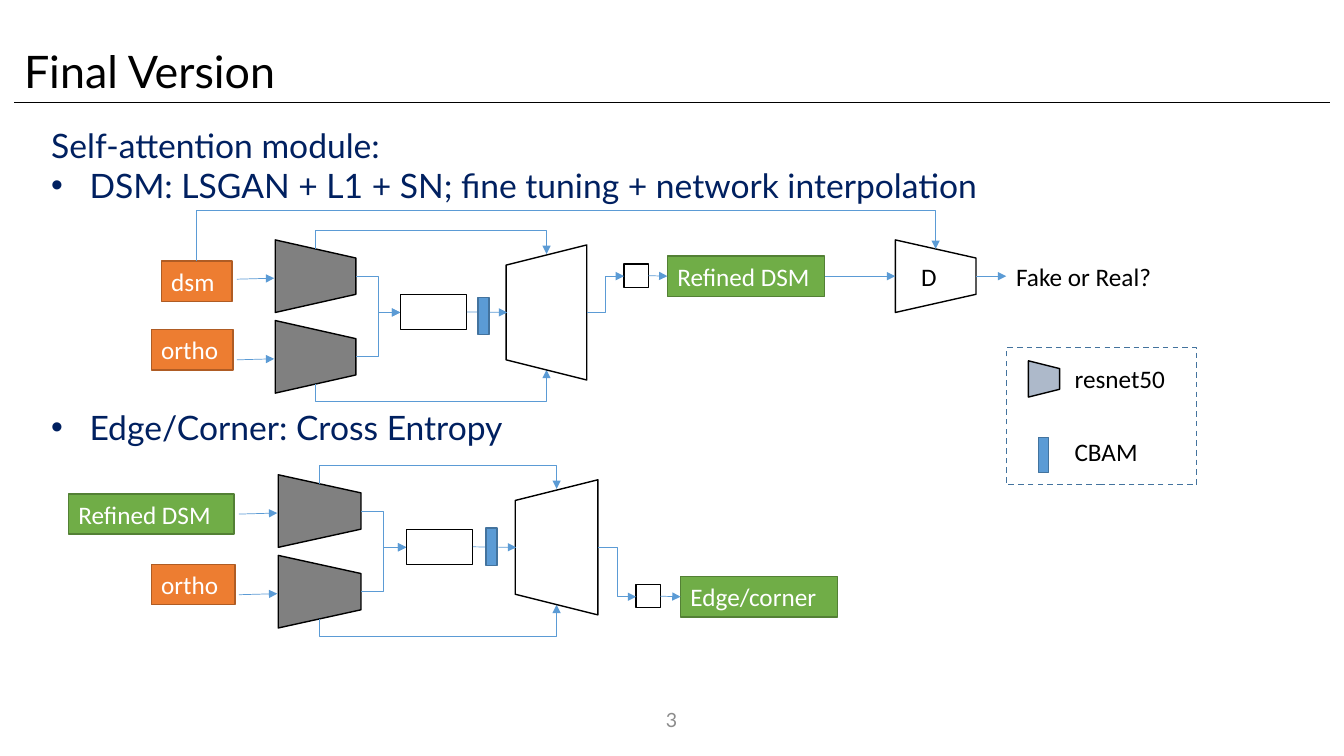
from dataclasses import dataclass
from lxml.etree import SubElement
from pptx import Presentation
from pptx.dml.color import RGBColor
from pptx.enum.dml import MSO_LINE
from pptx.enum.shapes import MSO_CONNECTOR, MSO_SHAPE
from pptx.enum.text import MSO_ANCHOR, PP_ALIGN
from pptx.oxml.ns import qn
from pptx.util import Emu, Pt


@dataclass(frozen=True)
class Theme:
    heading: str = "Lato"
    label: str = "Calibri"
    title_size: int = 32
    body_size: int = 24
    label_size: int = 18
    number_size: int = 14
    black: str = "000000"
    white: str = "FFFFFF"
    navy: str = "002060"
    gray: str = "8C8C8C"
    encoder: str = "808080"
    legend: str = "ADB9CA"
    blue: str = "5B9BD5"
    blue_edge: str = "43739E"
    orange: str = "ED7D31"
    orange_edge: str = "AF5C24"
    green: str = "70AD47"
    green_edge: str = "538035"


T = Theme()
EMU_PER_PX = 9144  # 100 px to the inch
RIGHT, LEFT = 3, 1  # connection sites of a rectangle


def px(n):
    return Emu(round(n * EMU_PER_PX))


def rgb(color):
    return RGBColor.from_string(color)


# Text
def write(tf, text, size=T.label_size, font=T.label, color=T.black,
          align=None, bullet=False, before=0, first=True):
    p = tf.paragraphs[0] if first else tf.add_paragraph()
    if bullet:
        pPr = p._p.get_or_add_pPr()
        pPr.set("marL", str(px(38)))
        pPr.set("indent", str(-px(38)))
        SubElement(pPr, qn("a:buFont"), typeface="Arial")
        SubElement(pPr, qn("a:buChar"), char="•")
    if before:
        p.space_before = Pt(before)
    p.alignment = align
    r = p.add_run()
    r.text = text
    r.font.size, r.font.name = Pt(size), font
    r.font.color.rgb = rgb(color)


def text_box(s, x, y, w, h, wrap=True):
    box = s.shapes.add_textbox(px(x), px(y), px(w), px(h))
    box.text_frame.word_wrap = wrap
    return box


# Shapes
def shape(s, kind, x, y, w, h, fill, edge):
    sp = s.shapes.add_shape(kind, px(x), px(y), px(w), px(h))
    sp.shadow.inherit = False
    if fill:
        sp.fill.solid()
        sp.fill.fore_color.rgb = rgb(fill)
    else:
        sp.fill.background()
    sp.line.color.rgb = rgb(edge)
    sp.line.width = Pt(1)
    return sp


def rect(s, x, y, w, h, fill=T.white, edge=T.black, text=None):
    sp = shape(s, MSO_SHAPE.RECTANGLE, x, y, w, h, fill, edge)
    if text:
        tf = sp.text_frame
        tf.vertical_anchor = MSO_ANCHOR.TOP
        write(tf, text, color=T.white, align=PP_ALIGN.LEFT)
    return sp


def trapezoid(s, x, y, w, h, fill, rotation=90):
    """Sideways trapezoid that covers x, y, w, h once it is turned."""
    sp = shape(s, MSO_SHAPE.TRAPEZOID, x + (w - h) / 2, y + (h - w) / 2,
               h, w, fill, T.black)
    sp.rotation = rotation
    return sp


def cbam(s, x, y, w=11, h=37):
    rect(s, x, y, w, h, T.blue, T.blue_edge)


# Lines
def line(s, x1, y1, x2, y2, color=T.blue, arrow=True,
         kind=MSO_CONNECTOR.STRAIGHT, begin=None, end=None):
    c = s.shapes.add_connector(kind, px(x1), px(y1), px(x2), px(y2))
    if begin is not None:
        c.begin_connect(begin, RIGHT)
    if end is not None:
        c.end_connect(end, LEFT)
    c.line.color.rgb = rgb(color)
    c.line.width = Pt(0.5)
    if arrow:
        SubElement(c.line._get_or_add_ln(), qn("a:tailEnd"), type="triangle")
    SubElement(c._element.spPr, qn("a:effectLst"))
    return c


def elbow(s, x1, y1, x2, y2):
    return line(s, x1, y1, x2, y2, kind=MSO_CONNECTOR.ELBOW)


def bridge(s, x1, y1, x2, y2, bar):
    """Elbow that leaves vertically, runs right along y = bar, and returns."""
    cx, cy = (x1 + x2) / 2, (y1 + y2) / 2
    half_w, half_h = abs(y2 - y1) / 2, (x2 - x1) / 2
    up = y2 < y1
    lean = half_h if up else -half_h
    c = elbow(s, cx + half_w, cy + lean, cx - half_w, cy - lean)
    spPr = c._element.spPr
    spPr.find(qn("a:xfrm")).set("rot", str((90 if up else 270) * 60000))
    geom = spPr.find(qn("a:prstGeom"))
    guides = geom.find(qn("a:avLst"))
    if guides is None:
        guides = SubElement(geom, qn("a:avLst"))
    bend = round((bar - y1) / (y2 - y1) * 100000)
    SubElement(guides, qn("a:gd"), name="adj1", fmla=f"val {bend}")


# Diagram parts
def network(s, left, top, stretch, out_y, cbam_y, result):
    """Two encoders, bottleneck, CBAM, decoder and output; returns the result box."""
    def x(n):
        return round(left + n * stretch)

    def y(n):
        return top + n

    width = x(80) - left
    for enc_y, skip_y, goal_y, bar in ((0, 9, 14, -9), (80, 143, 129, 160)):
        trapezoid(s, left, y(enc_y), width, 72, T.encoder)
        line(s, x(-38), y(enc_y + 39), x(-1), y(enc_y + 38))
        elbow(s, x(80), y(enc_y + 36), x(124), y(72))
        bridge(s, x(40), y(skip_y), x(269), y(goal_y), y(bar))
    bottleneck = rect(s, x(124), y(54), 66, 35)
    trapezoid(s, x(229), y(5), width, 134, T.white, 270)
    line(s, x(190), y(72), x(230), y(72), begin=bottleneck)
    cbam(s, x(201), cbam_y)
    gate = rect(s, x(346), out_y - 12, 24, 23)
    elbow(s, x(309), y(72), x(346), out_y)
    box = rect(s, x(389), out_y - 20, 156, 40, T.green, T.green_edge, result)
    line(s, x(370), out_y, x(389), out_y, begin=gate, end=box)
    return box


def discriminator(s, refined):
    sp = trapezoid(s, 888, 238, 80, 72, T.white)
    tf = sp.text_frame
    tf.vertical_anchor = MSO_ANCHOR.MIDDLE
    tf._txBody.bodyPr.set("vert", "vert270")
    write(tf, "D", align=PP_ALIGN.CENTER)
    verdict = text_box(s, 998, 254, 156, 40, wrap=False)
    write(verdict.text_frame, "Fake or Real?")
    line(s, 818, 274, 888, 274, begin=refined)
    line(s, 968, 274, 998, 274, end=verdict)
    bridge(s, 195, 259, 928, 247, 209)


def legend(s):
    trapezoid(s, 1020, 358, 31, 36, T.legend)
    cbam(s, 1030, 434, 10, 35)
    for text, y in (("resnet50", 355), ("CBAM", 428)):
        write(text_box(s, 1056, y, 123, 42).text_frame, text)
    frame = rect(s, 998, 345, 189, 136, None, T.blue_edge)
    frame.line.dash_style = MSO_LINE.DASH


def main():
    prs = Presentation()
    prs.slide_width, prs.slide_height = px(1333), px(750)
    s = prs.slides.add_slide(prs.slide_layouts[6])

    # Title, rule and page number
    line(s, 14, 102, 1319, 102, T.black, arrow=False)
    write(text_box(s, 14, 38, 646, 64).text_frame, "Final Version",
          size=T.title_size, font=T.heading)
    number = text_box(s, 516, 694, 300, 40).text_frame
    number.vertical_anchor = MSO_ANCHOR.MIDDLE
    write(number, "3", size=T.number_size, font=T.heading, color=T.gray,
          align=PP_ALIGN.CENTER)

    # Body text, with room for the first diagram
    tf = text_box(s, 41, 119, 1215, 576).text_frame
    body = dict(size=T.body_size, font=T.heading, color=T.navy)
    write(tf, "Self-attention module:", **body)
    write(tf, "DSM: LSGAN + L1 + SN; fine tuning + network interpolation",
          bullet=True, first=False, **body)
    write(tf, "Edge/Corner: Cross Entropy", bullet=True, before=144,
          first=False, **body)

    # Inputs
    orange, green = (T.orange, T.orange_edge), (T.green, T.green_edge)
    for text, x, y, w, colors in (("dsm", 160, 259, 70, orange),
                                  ("ortho", 150, 327, 81, orange),
                                  ("Refined DSM", 68, 490, 164, green),
                                  ("ortho", 150, 560, 83, orange)):
        rect(s, x, y, w, 40, *colors, text)

    # Networks
    refined = network(s, 273, 238, 1, 274, 295, "Refined DSM")
    discriminator(s, refined)
    network(s, 276, 471, 1.026, 592, 524, "Edge/corner")
    legend(s)

    prs.save("out.pptx")


if __name__ == "__main__":
    main()
